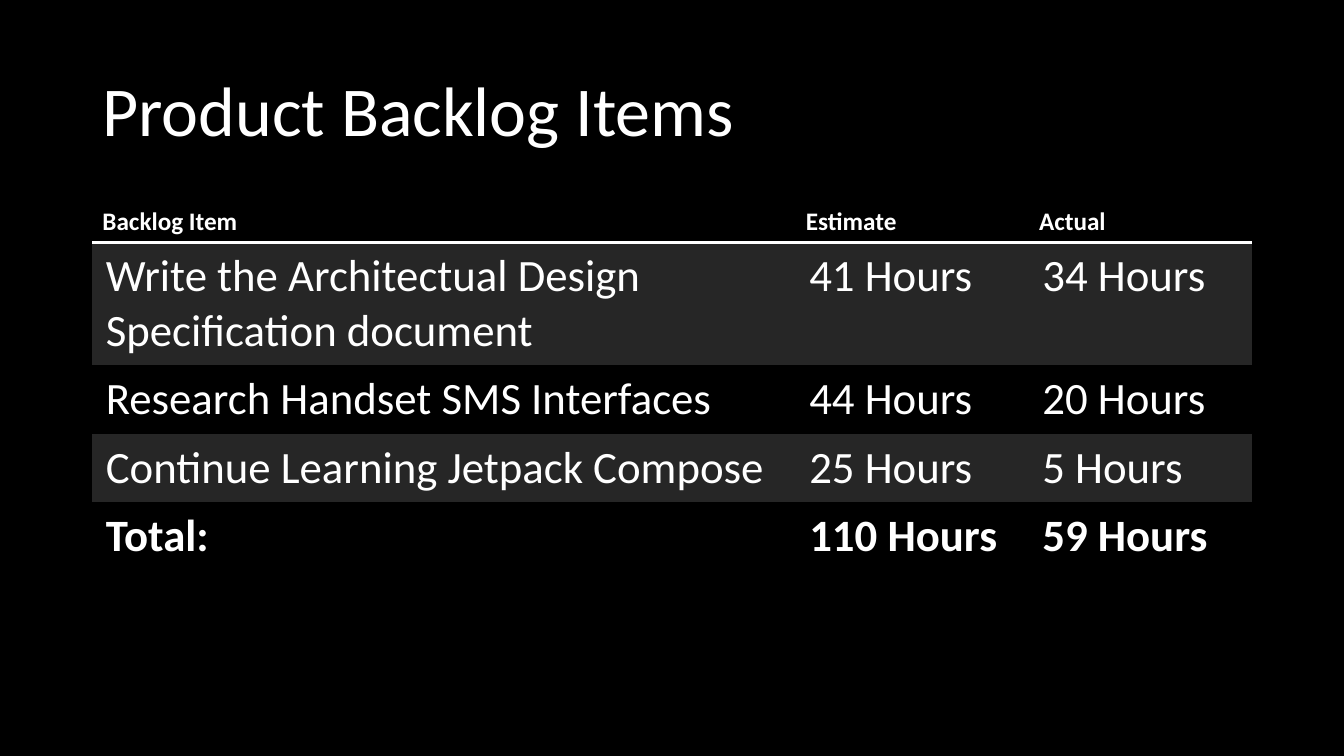
from dataclasses import dataclass

from lxml import etree
from pptx import Presentation
from pptx import util as u
from pptx.dml.color import RGBColor
from pptx.enum import text
from pptx.oxml import ns


@dataclass(frozen=True)
class Theme:
    font: str = "Calibri"
    page: str = "000000"
    ink: str = "FFFFFF"
    band: str = "262626"
    title_size: int = 50
    header_size: int = 18
    body_size: int = 32
    rule_width: int = 2


@dataclass(frozen=True)
class Box:
    left: float
    top: float
    width: float
    height: float


THEME = Theme()
PLAIN_TABLE = "{2D5ABB26-0587-4C30-8999-92F81FD0307C}"
COLUMN_WIDTHS = (502.5, 166.5, 159)
ROW_HEIGHT = 29.5
BACKLOG = (
    ("Backlog Item", "Estimate", "Actual"),
    ("Write the Architectual Design Specification document", "41 Hours", "34 Hours"),
    ("Research Handset SMS Interfaces", "44 Hours", "20 Hours"),
    ("Continue Learning Jetpack Compose", "25 Hours", "5 Hours"),
    ("Total:", "110 Hours", "59 Hours"),
)


def place(shape, box):
    shape.left, shape.top = u.Pt(box.left), u.Pt(box.top)
    shape.width, shape.height = u.Pt(box.width), u.Pt(box.height)


def style_text(frame, size, bold=False):
    for para in frame.paragraphs:
        para.alignment = text.PP_ALIGN.LEFT
        for span in para.runs:
            span.font.name = THEME.font
            span.font.size = u.Pt(size)
            span.font.bold = bold
            span.font.color.rgb = RGBColor.from_string(THEME.ink)


def fill_solid(fill, colour):
    fill.solid()
    fill.fore_color.rgb = RGBColor.from_string(colour)


def underline_cell(cell):
    line = etree.Element(ns.qn("a:lnB"), w=str(u.Pt(THEME.rule_width)))
    solid = etree.SubElement(line, ns.qn("a:solidFill"))
    etree.SubElement(solid, ns.qn("a:srgbClr"), val=THEME.ink)
    cell._tc.get_or_add_tcPr().insert(0, line)


def add_title(page, box):
    title = page.shapes.title
    place(title, box)
    frame = title.text_frame
    frame.text = "Product Backlog Items"
    frame.word_wrap = True
    frame.vertical_anchor = text.MSO_ANCHOR.MIDDLE
    frame.paragraphs[0].line_spacing = 0.9
    style_text(frame, THEME.title_size)


def format_header(cell):
    fill_solid(cell.fill, THEME.page)
    underline_cell(cell)
    style_text(cell.text_frame, THEME.header_size, bold=True)


def format_body(cell, banded, bold):
    cell.margin_left = cell.margin_right = u.Pt(9.6)
    cell.margin_top = cell.margin_bottom = u.Pt(4.8)
    if banded:
        fill_solid(cell.fill, THEME.band)
    else:
        cell.fill.background()
    style_text(cell.text_frame, THEME.body_size, bold)


def add_backlog(page, box):
    holder = page.shapes.add_table(len(BACKLOG), len(COLUMN_WIDTHS), 0, 0, 0, 0)
    table = holder.table
    table.horz_banding = False
    table._tbl.tblPr.find(ns.qn("a:tableStyleId")).text = PLAIN_TABLE
    for column, width in zip(table.columns, COLUMN_WIDTHS):
        column.width = u.Pt(width)
    for row in table.rows:
        row.height = u.Pt(ROW_HEIGHT)
    place(holder, box)
    last = len(BACKLOG) - 1
    for index, entries in enumerate(BACKLOG):
        for cell, entry in zip(table.rows[index].cells, entries):
            cell.text_frame.text = entry
            if index == 0:
                format_header(cell)
            else:
                format_body(cell, banded=index % 2 == 1, bold=index == last)


def main():
    deck = Presentation()
    deck.slide_width, deck.slide_height = u.Pt(960), u.Pt(540)
    page = deck.slides.add_slide(deck.slide_layouts[5])
    fill_solid(page.background.fill, THEME.page)
    add_title(page, Box(66, 28.75, 828, 104.4))
    add_backlog(page, Box(66, 143.75, 828, 260))
    deck.save("out.pptx")


if __name__ == "__main__":
    main()
